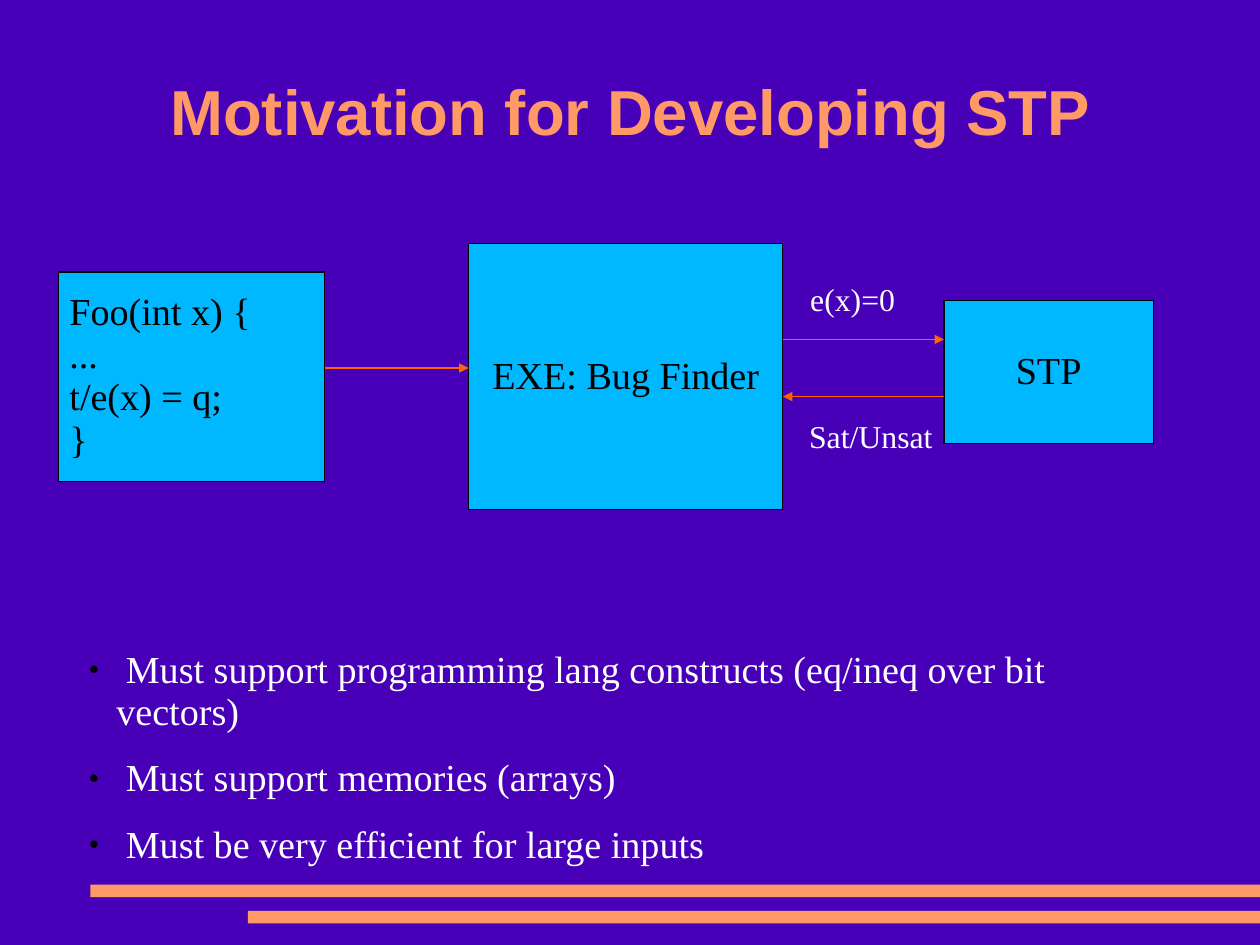
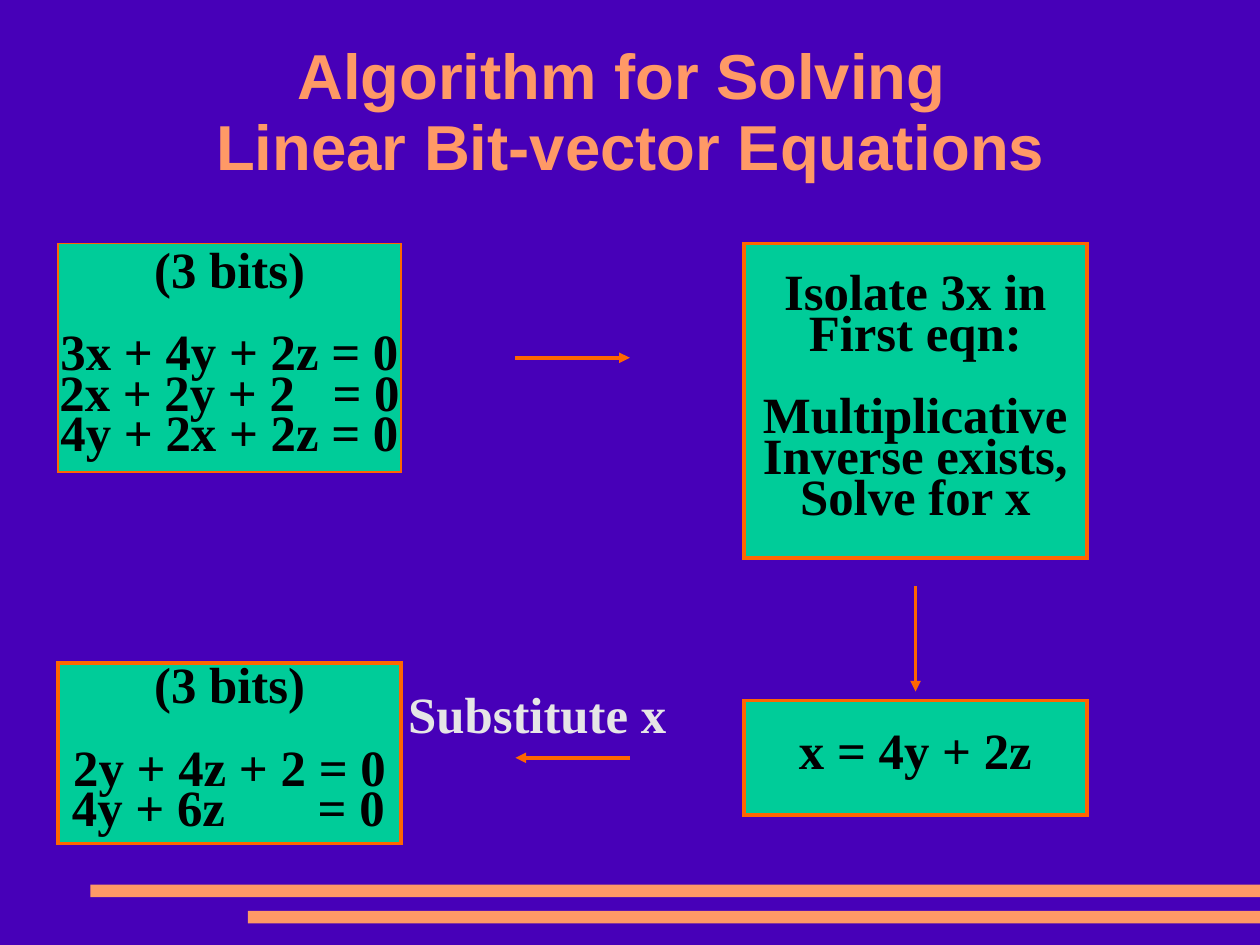
from lxml import etree
from pptx import Presentation
from pptx.dml.color import RGBColor
from pptx.enum.shapes import MSO_CONNECTOR, MSO_SHAPE
from pptx.enum.text import MSO_ANCHOR, MSO_AUTO_SIZE, PP_ALIGN
from pptx.oxml.ns import qn
from pptx.util import Cm, Inches, Pt

PURPLE = RGBColor(0x47, 0x00, 0xB8)
PEACH = RGBColor(0xFF, 0x99, 0x66)
ORANGE = RGBColor(0xFF, 0x66, 0x00)
SKY = RGBColor(0x00, 0xB8, 0xFF)
GREEN = RGBColor(0x00, 0xCC, 0x99)
BLACK = RGBColor(0x00, 0x00, 0x00)
WHITE = RGBColor(0xFF, 0xFF, 0xFF)
PALE = RGBColor(0xE6, 0xE6, 0xE6)

HEAD_FONT, BODY_FONT = "Arial", "Times New Roman"
WIDTH, HEIGHT = Cm(28), Cm(21)
TITLE_AT = (0.81, 0.31, 9.41, 1.37)
BANDS = [(0.79, 7.74), (2.17, 7.97)]  # left, top; both reach the right edge
BAND_HEIGHT = 0.11

# Slide 1: boxes are (place, lines, alignment), arrows are (from, to)
MOTIVATION = "Motivation for Developing STP"
PIPELINE = [
    ((0.51, 2.38, 2.33, 1.83), ["Foo(int x) {", "...", "t/e(x) = q;", "}"], PP_ALIGN.LEFT),
    ((4.1, 2.13, 2.75, 2.33), ["EXE: Bug Finder"], PP_ALIGN.CENTER),
    ((8.26, 2.63, 1.83, 1.25), ["STP"], PP_ALIGN.CENTER),
]
PIPELINE_ARROWS = [
    ((2.84, 3.22), (4.1, 3.22)),
    ((6.85, 2.97), (8.26, 2.97)),
    ((8.26, 3.47), (6.85, 3.47)),
]
PIPELINE_LABELS = [
    ((6.99, 2.43, 0.94, 0.41), "e(x)=0"),
    ((6.98, 3.63, 1.28, 0.41), "Sat/Unsat"),
]
NEEDS_AT = (0.68, 5.63, 9.5, 2)
NEEDS = [
    " Must support programming lang constructs (eq/ineq over bit vectors)",
    " Must support memories (arrays)",
    " Must be very efficient for large inputs",
]

# Slide 2: steps are (place, blocks of lines, border, side inset, tab stop)
ALGORITHM = "Algorithm for Solving \vLinear Bit-vector Equations"
STEPS = [
    ((0.51, 2.13, 3, 2),
     [["(3 bits)"], ["3x + 4y + 2z = 0", "2x + 2y + 2\t= 0", "4y + 2x + 2z = 0"]],
     1, 0.01, 2.39),
    ((6.51, 2.13, 3, 2.75),
     [["Isolate 3x in", "First eqn:"],
      ["Multiplicative", "Inverse exists,", "Solve for x"]],
     2.25, 0, None),
    ((6.51, 6.13, 3, 1), [["x = 4y + 2z"]], 2.25, 0, None),
    ((0.51, 5.8, 3, 1.58),
     [["(3 bits)"], ["2y + 4z + 2 = 0", "4y + 6z\t= 0"]],
     2.25, 0.12, 2.15),
]
STEP_ARROWS = [
    ((4.51, 3.13), (5.51, 3.13)),
    ((8.01, 5.13), (8.01, 6.05)),
    ((5.51, 6.63), (4.51, 6.63)),
]
SUBSTITUTE_AT = (3.57, 6.13, 2.96, 0.36)
BLOCK_GAP = 26


def inches(values):
    return [Inches(v) for v in values]


def add_child(parent, tag, **attrs):
    return etree.SubElement(parent, qn(tag), **attrs)


def put_text(tf, lines, font=BODY_FONT, size=24, color=BLACK, bold=False,
             align=PP_ALIGN.LEFT, spacing=0.93, before=0, insets=(0.1, 0.05),
             anchor=MSO_ANCHOR.MIDDLE, wrap=True):
    """Fill a text frame, one paragraph a line, and return the paragraphs."""
    tf.auto_size, tf.word_wrap, tf.vertical_anchor = MSO_AUTO_SIZE.NONE, wrap, anchor
    tf.margin_left = tf.margin_right = Inches(insets[0])
    tf.margin_top = tf.margin_bottom = Inches(insets[1])
    for i, line in enumerate(lines):
        p = tf.add_paragraph() if i else tf.paragraphs[0]
        p.text = line
        p.alignment, p.line_spacing = align, spacing
        p.space_before = Pt(before if i else 0)
        for r in p.runs:
            r.font.name, r.font.size, r.font.bold = font, Pt(size), bold
            r.font.color.rgb = color
    return tf.paragraphs


def add_box(slide, place, fill, border=None, width=0.75):
    s = slide.shapes.add_shape(MSO_SHAPE.RECTANGLE, *inches(place))
    s.shadow.inherit = False
    s.fill.solid()
    s.fill.fore_color.rgb = fill
    if border is None:
        s.line.fill.background()
    else:
        s.line.color.rgb = border
        s.line.width = Pt(width)
        add_child(s.line._get_or_add_ln(), "a:miter", lim="800000")
    return s


def add_label(slide, place, lines, **fmt):
    s = slide.shapes.add_textbox(*inches(place))
    return put_text(s.text_frame, lines, anchor=MSO_ANCHOR.TOP, **fmt)


def add_arrows(slide, arrows, width):
    for start, end in arrows:
        c = slide.shapes.add_connector(MSO_CONNECTOR.STRAIGHT, *inches(start + end))
        c.line.color.rgb = ORANGE
        c.line.width = Pt(width)
        add_child(c.line._get_or_add_ln(), "a:tailEnd", type="triangle")
        add_child(c._element.spPr, "a:effectLst")


def add_bullet(p, indent):
    pPr = p._p.get_or_add_pPr()
    pPr.set("marL", str(Inches(indent)))
    pPr.set("indent", str(-Inches(indent)))
    add_child(add_child(pPr, "a:buClr"), "a:srgbClr", val=str(BLACK))
    add_child(pPr, "a:buSzPct", val="45000")
    add_child(pPr, "a:buFont", typeface=BODY_FONT)
    add_child(pPr, "a:buChar", char="●")


def add_tab(p, position):
    tabs = add_child(p._p.get_or_add_pPr(), "a:tabLst")
    add_child(tabs, "a:tab", pos=str(Inches(position)), algn="l")


def add_titled_slide(prs, layout, title):
    slide = prs.slides.add_slide(layout)
    sp = slide.shapes.title
    sp.left, sp.top, sp.width, sp.height = inches(TITLE_AT)
    put_text(sp.text_frame, [title], font=HEAD_FONT, size=40, color=PEACH,
             bold=True, align=PP_ALIGN.CENTER, insets=(0, 0))
    return slide


def add_bands(slide, layout):
    """Draw the footer bands and hand them to the shared layout."""
    for left, top in BANDS:
        s = add_box(slide, (left, top, WIDTH.inches - left, BAND_HEIGHT), PEACH)
        layout.shapes._spTree.append(s._element)


def build_motivation(slide):
    for place, lines, align in PIPELINE:
        s = add_box(slide, place, SKY, BLACK)
        put_text(s.text_frame, lines, align=align)
    add_arrows(slide, PIPELINE_ARROWS, 0.75)
    for place, label in PIPELINE_LABELS:
        add_label(slide, place, [label], size=20, color=WHITE, wrap=False)
    for p in add_label(slide, NEEDS_AT, NEEDS, color=WHITE, before=15):
        add_bullet(p, 0.24)


def build_algorithm(slide):
    step_style = dict(size=32, bold=True, spacing=0.67)
    for place, blocks, width, inset, tab in STEPS:
        s = add_box(slide, place, GREEN, ORANGE, width)
        lines = [line for block in blocks for line in block]
        paragraphs = put_text(s.text_frame, lines, align=PP_ALIGN.CENTER,
                              insets=(inset, 0), **step_style)
        # Set the second block apart from the first
        if len(blocks) > 1:
            paragraphs[len(blocks[0])].space_before = Pt(BLOCK_GAP)
        # Line up the equals sign of the shorter equation
        for p in paragraphs:
            if "\t" in p.text:
                p.alignment = PP_ALIGN.LEFT
                add_tab(p, tab)
    add_arrows(slide, STEP_ARROWS, 2.25)
    add_label(slide, SUBSTITUTE_AT, ["Substitute x"], color=PALE,
              insets=(0, 0), wrap=False, **step_style)


def main():
    prs = Presentation()
    prs.slide_width, prs.slide_height = WIDTH, HEIGHT
    layout = prs.slide_layouts[5]
    layout.background.fill.solid()
    layout.background.fill.fore_color.rgb = PURPLE

    motivation = add_titled_slide(prs, layout, MOTIVATION)
    add_bands(motivation, layout)
    build_motivation(motivation)
    build_algorithm(add_titled_slide(prs, layout, ALGORITHM))
    prs.save("out.pptx")


if __name__ == "__main__":
    main()
